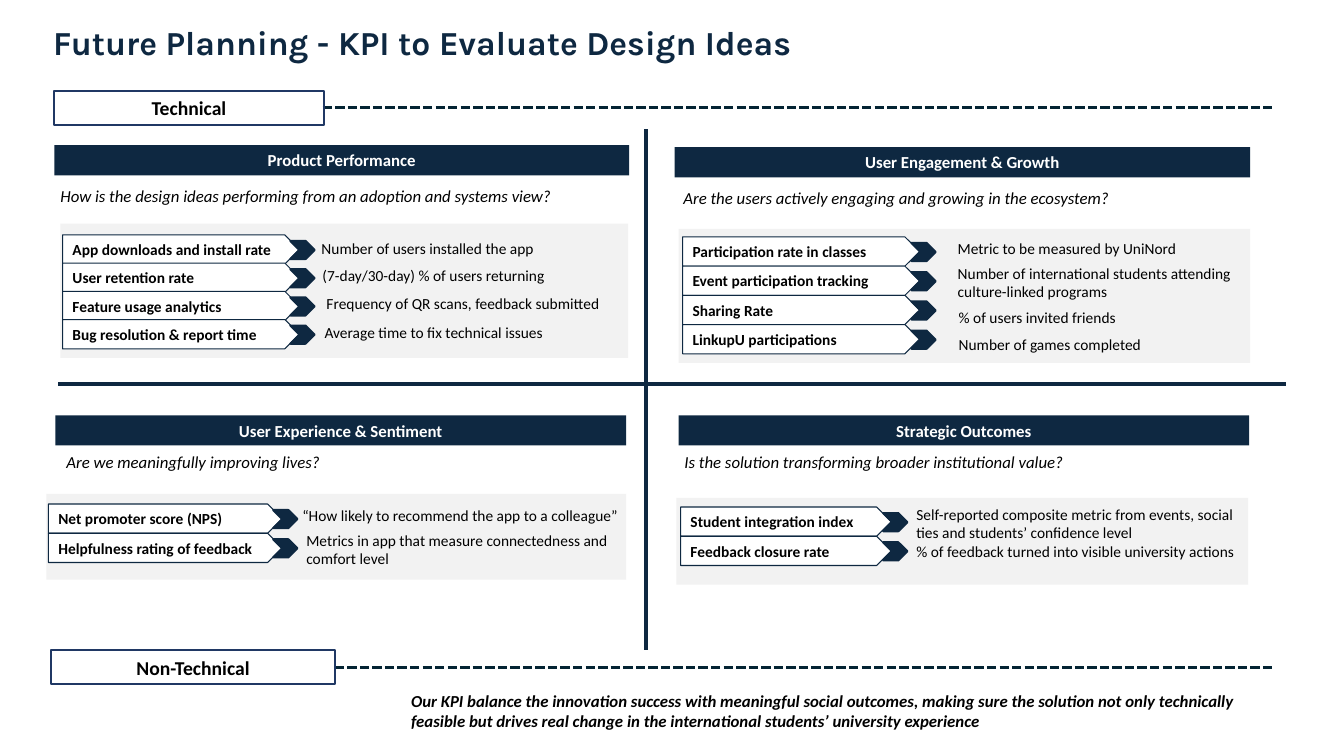
from dataclasses import dataclass
from typing import NamedTuple

from lxml import etree
from pptx import Presentation
from pptx.dml.color import RGBColor
from pptx.enum.dml import MSO_LINE
from pptx.enum.shapes import MSO_CONNECTOR, MSO_SHAPE
from pptx.enum.text import MSO_ANCHOR, PP_ALIGN
from pptx.oxml.ns import qn
from pptx.util import Pt

PX = 9144
RECTANGLE, PENTAGON, CHEVRON = MSO_SHAPE.RECTANGLE, MSO_SHAPE.PENTAGON, MSO_SHAPE.CHEVRON
STRAIGHT = MSO_CONNECTOR.STRAIGHT
DASH = MSO_LINE.SQUARE_DOT
LEFT, CENTER = PP_ALIGN.LEFT, PP_ALIGN.CENTER
TOP, MIDDLE = MSO_ANCHOR.TOP, MSO_ANCHOR.MIDDLE
COLORS = {"navy": "0E2841", "border": "203864", "dash": "042433",
          "band": "F2F2F2", "white": "FFFFFF", "black": "000000"}


class Box(NamedTuple):
    left: int
    top: int
    width: int
    height: int


@dataclass
class Style:
    size: int
    color: str = "black"
    bold: bool = False
    italic: bool = False
    align: PP_ALIGN = LEFT
    font: str = "Calibri"
    line_spacing: float = 1.0


@dataclass
class Metric:
    label: str
    note: str
    note_box: Box


@dataclass
class Panel:
    title: str
    header: Box
    question: str
    question_box: Box
    band: Box
    first_label: Box
    pitch: int
    chevron_left: int
    metrics: list[Metric]


@dataclass
class Rule:
    start: tuple[int, int]
    end: tuple[int, int]
    color: str
    weight: float
    dashed: bool = False


TITLE = Style(24, "navy", bold=True, font="Karla", line_spacing=0.9)
HEADER = Style(12, "white", bold=True, align=CENTER)
CATEGORY = Style(14, bold=True, align=CENTER)
QUESTION = Style(12, italic=True)
LABEL = Style(11, bold=True)
NOTE = Style(11)
SUMMARY = Style(12, bold=True, italic=True)

PANELS = [
    Panel("Product Performance", Box(54, 144, 570, 30),
          "How is the design ideas performing from an adoption and systems view?",
          Box(50, 179, 551, 30), Box(60, 222, 563, 133), Box(62, 233, 235, 29), 28, 288, [
              Metric("App downloads and install rate", "Number of users installed the app",
                     Box(309, 232, 265, 29)),
              Metric("User retention rate", "(7-day/30-day) % of users returning",
                     Box(310, 259, 282, 29)),
              Metric("Feature usage analytics", "Frequency of QR scans, feedback submitted",
                     Box(314, 287, 294, 29)),
              Metric("Bug resolution & report time", "Average time to fix technical issues",
                     Box(312, 316, 265, 29))]),
    Panel("User Engagement & Growth", Box(669, 146, 571, 30),
          "Are the users actively engaging and growing in the ecosystem?",
          Box(668, 181, 470, 30), Box(673, 227, 567, 133), Box(677, 235, 235, 29), 29, 904, [
              Metric("Participation rate in classes", "Metric to be measured by UniNord",
                     Box(940, 232, 265, 29)),
              Metric("Event participation tracking",
                     "Number of international students attending culture-linked programs",
                     Box(940, 257, 328, 47)),
              Metric("Sharing Rate", "% of users invited friends", Box(941, 301, 221, 29)),
              Metric("LinkupU participations", "Number of games completed",
                     Box(941, 328, 265, 29))]),
    Panel("User Experience & Sentiment", Box(55, 412, 566, 30),
          "Are we meaningfully improving lives?",
          Box(56, 443, 288, 30), Box(46, 490, 575, 85), Box(48, 500, 232, 29), 29, 271, [
              Metric("Net promoter score (NPS)",
                     "“How likely to recommend the app to a colleague”",
                     Box(290, 497, 377, 29)),
              Metric("Helpfulness rating of feedback",
                     "Metrics in app that measure connectedness and comfort level",
                     Box(294, 522, 340, 47))]),
    Panel("Strategic Outcomes", Box(673, 412, 566, 30),
          "Is the solution transforming broader institutional value?",
          Box(669, 443, 413, 30), Box(671, 494, 567, 86), Box(675, 503, 209, 29), 29, 876, [
              Metric("Student integration index",
                     "Self-reported composite metric from events, social ties and students’ confidence level",
                     Box(899, 496, 355, 47)),
              Metric("Feedback closure rate", "% of feedback turned into visible university actions",
                     Box(899, 533, 358, 29))]),
]
CATEGORIES = [("Technical", Box(54, 90, 267, 34)), ("Non-Technical", Box(51, 645, 281, 34))]
RULES = [
    Rule((641, 128), (641, 645), "navy", 3),
    Rule((58, 381), (1275, 381), "navy", 3),
    Rule((320, 107), (1262, 107), "dash", 2.25, True),
    Rule((332, 662), (1262, 662), "dash", 2.25, True),
]


def rgb(name: str) -> RGBColor:
    return RGBColor.from_string(COLORS[name])


def write(shape, text: str, style: Style, anchor: MSO_ANCHOR) -> None:
    frame = shape.text_frame
    frame.text = text
    frame.word_wrap = True
    frame.vertical_anchor = anchor
    para = frame.paragraphs[0]
    para.alignment = style.align
    para.line_spacing = style.line_spacing
    font = para.runs[0].font
    font.name, font.size = style.font, Pt(style.size)
    font.bold, font.italic = style.bold, style.italic
    font.color.rgb = rgb(style.color)


def add_text(page, box: Box, text: str, style: Style) -> None:
    write(page.shapes.add_textbox(*(PX * side for side in box)), text, style, TOP)


def add_block(page, kind: MSO_SHAPE, box: Box, fill: str = "", line: str = "",
              weight: float = 0.75, text: str = "", style: Style = LABEL) -> None:
    shape = page.shapes.add_shape(kind, *(PX * side for side in box))
    shape.shadow.inherit = False
    if fill:
        shape.fill.solid()
        shape.fill.fore_color.rgb = rgb(fill)
    else:
        shape.fill.background()
    if line:
        shape.line.color.rgb = rgb(line)
        shape.line.width = Pt(weight)
    else:
        shape.line.fill.background()
    if text:
        write(shape, text, style, MIDDLE)


def add_rule(page, rule: Rule) -> None:
    ends = (PX * place for place in rule.start + rule.end)
    connector = page.shapes.add_connector(STRAIGHT, *ends)
    connector.line.color.rgb = rgb(rule.color)
    connector.line.width = Pt(rule.weight)
    if rule.dashed:
        connector.line.dash_style = DASH
    etree.SubElement(connector._element.spPr, qn("a:effectLst"))


def add_panel(page, panel: Panel) -> None:
    add_block(page, RECTANGLE, panel.band, "band")
    add_block(page, RECTANGLE, panel.header, "navy", text=panel.title, style=HEADER)
    add_text(page, panel.question_box, panel.question, QUESTION)
    tops = [panel.first_label.top + panel.pitch * row for row in range(len(panel.metrics))]
    for metric, top in zip(panel.metrics, tops):
        add_block(page, PENTAGON, panel.first_label._replace(top=top), "white", "navy",
                  text=metric.label)
        add_text(page, metric.note_box, metric.note, NOTE)
    for top in tops:
        add_block(page, CHEVRON, Box(panel.chevron_left, top + 6, 24, 18), "navy", "navy", 1.5)


def main() -> None:
    deck = Presentation()
    deck.slide_width, deck.slide_height = 1333 * PX, 750 * PX
    page = deck.slides.add_slide(deck.slide_layouts[6])
    add_text(page, Box(43, 21, 1126, 57), "Future Planning - KPI to Evaluate Design Ideas", TITLE)
    for rule in RULES:
        add_rule(page, rule)
    for name, box in CATEGORIES:
        add_block(page, RECTANGLE, box, "", "border", 1.5, name, CATEGORY)
    for panel in PANELS:
        add_panel(page, panel)
    add_text(page, Box(398, 680, 880, 50),
             "Our KPI balance the innovation success with meaningful social outcomes, making sure the solution not only technically feasible but drives real change in the international students’ university experience",
             SUMMARY)
    deck.save("out.pptx")


if __name__ == "__main__":
    main()
